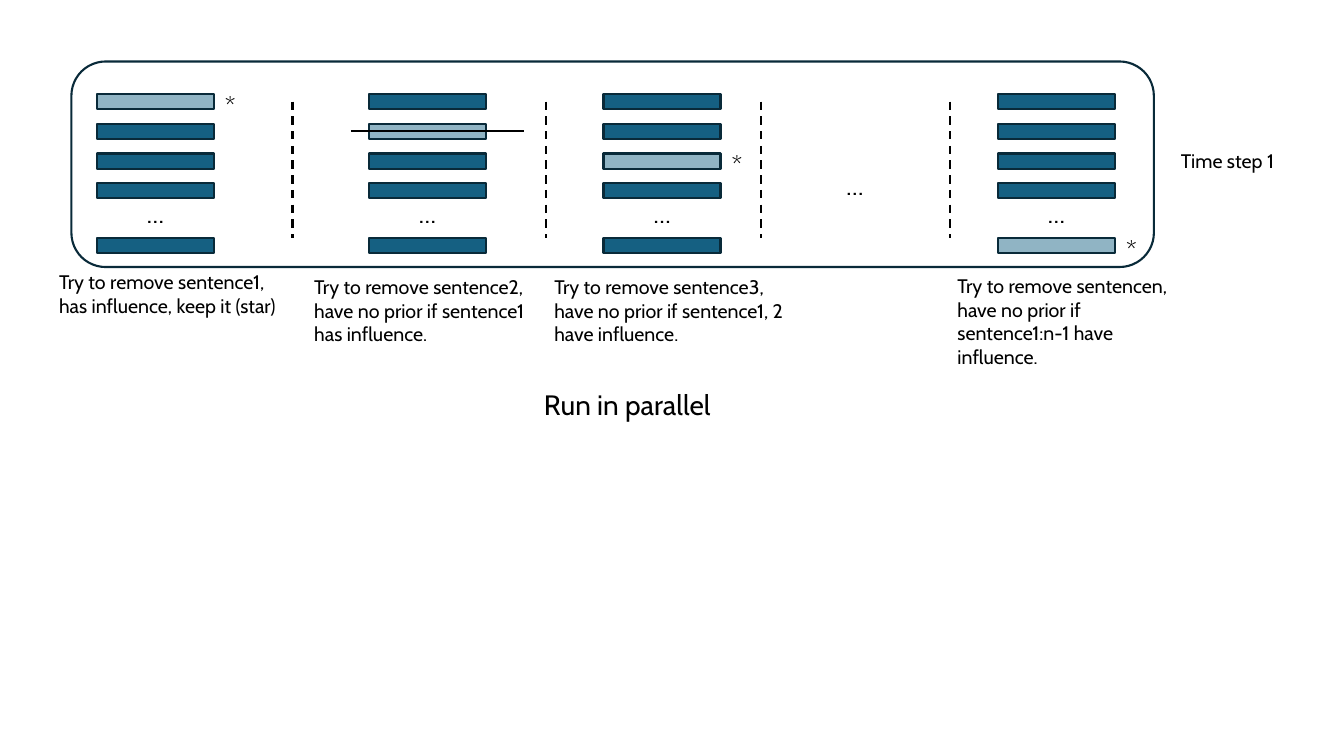
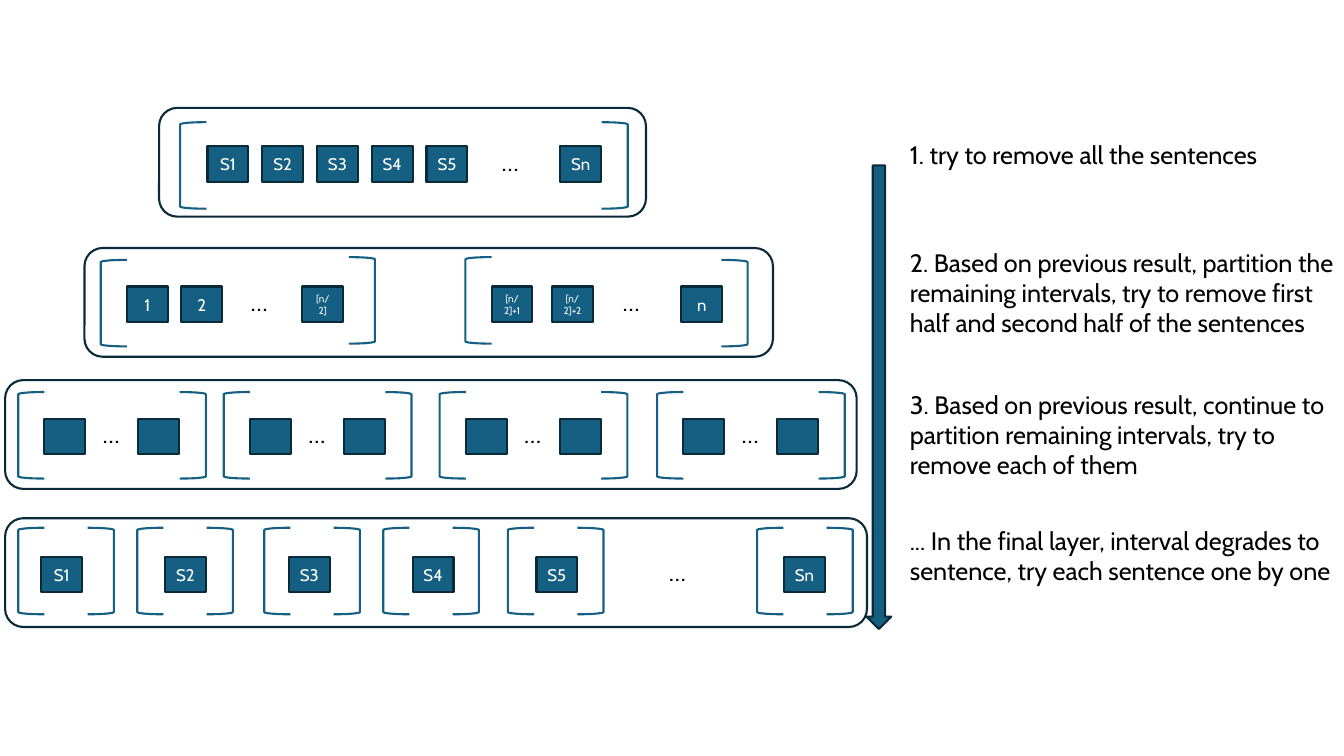
from lxml.etree import SubElement
from pptx import Presentation
from pptx.dml.color import RGBColor
from pptx.enum.dml import MSO_LINE_DASH_STYLE as Dash
from pptx.enum.shapes import MSO_CONNECTOR as Link, MSO_SHAPE as Shape
from pptx.enum.text import MSO_ANCHOR as Anchor, PP_ALIGN as Align
from pptx.oxml.ns import qn
from pptx.util import Cm, Pt

FONT = "Cabin"
TEAL, NAVY, BLACK, WHITE = "156082", "092A39", "000000", "FFFFFF"
STROKE = Pt(1.5)
SLIDE_W, SLIDE_H = 33.87, 19.05

# Sentence bars of a column
BAR_W, BAR_H, BAR_PITCH = 2.95, 0.38, 0.75
BAR_TOPS = [0.82 + BAR_PITCH * i for i in range(4)] + [4.44]

# Sentence tiles, brackets and layers
TILE_W, TILE_H, TILE_DROP = 1.03, 0.9, 0.97
BRACKET_W, BRACKET_H = 0.66, 2.18
LAYER_H = 2.74
ELLIPSIS_DROP = 0.84
NOTE_X = 22.68


def color(hex_string):
    return RGBColor.from_string(hex_string)


def write(frame, text, size=18, ink=BLACK, align=Align.LEFT, anchor=Anchor.TOP):
    frame.word_wrap = True
    frame.vertical_anchor = anchor
    paragraph = frame.paragraphs[0]
    paragraph.alignment = align
    run = paragraph.add_run()
    run.text = text
    run.font.name, run.font.size = FONT, Pt(size)
    run.font.color.rgb = color(ink)


def label(slide, x, y, w, h, text, right_inset=0.25, **style):
    frame = slide.shapes.add_textbox(Cm(x), Cm(y), Cm(w), Cm(h)).text_frame
    frame.margin_right = Cm(right_inset)
    write(frame, text, **style)


def outline(slide, kind, x, y, w, h, fill=None, line=NAVY, alpha=None):
    shape = slide.shapes.add_shape(kind, Cm(x), Cm(y), Cm(w), Cm(h))
    shape.shadow.inherit = False
    shape.line.color.rgb = color(line)
    shape.line.width = STROKE
    if fill is None:
        shape.fill.background()
    else:
        shape.fill.solid()
        shape.fill.fore_color.rgb = color(fill)
    if alpha is not None:
        tint = shape.fill._xPr.find(".//" + qn("a:srgbClr"))
        SubElement(tint, qn("a:alpha")).set("val", str(alpha * 1000))
    return shape


def rule(slide, x1, y1, x2, y2, dash=None):
    line = slide.shapes.add_connector(Link.STRAIGHT, Cm(x1), Cm(y1), Cm(x2), Cm(y2))
    line.line.color.rgb = color(BLACK)
    line.line.width = STROKE
    if dash:
        line.line.dash_style = dash
    SubElement(line._element.spPr, qn("a:effectLst"))


def ellipsis(slide, x, y):
    label(slide, x, y, 1.05, 1.02, "…")


def sentence_column(slide, x, y, tried, struck=False):
    """Stack of sentence bars; the tried one is pale, then starred or struck."""
    for index, drop in enumerate(BAR_TOPS):
        outline(slide, Shape.RECTANGLE, x, y + drop, BAR_W, BAR_H, TEAL,
                alpha=47 if index == tried else None)
    ellipsis(slide, x + 1.01, y + 3.33)
    bar_y = y + BAR_TOPS[tried]
    if struck:
        middle = bar_y + BAR_H / 2
        rule(slide, x - 0.46, middle, x + 3.91, middle)
    else:
        label(slide, x + 2.98, bar_y - 0.22, 0.97, 1.02, "*")


def parallel_slide(slide, x=1.8, y=1.55):
    # Time step frame
    outline(slide, Shape.ROUNDED_RECTANGLE, x, y, 27.28, 5.18)
    label(slide, x + 27.71, y + 2.08, 3, 0.86, "Time step 1", size=14)

    # Columns: offset, tried bar, struck, caption offset and drop, caption
    columns = [
        (0.64, 0, False, -0.56, 5.13,
         "Try to remove sentence1, has influence, keep it (star)"),
        (7.5, 1, True, 5.87, 5.26,
         "Try to remove sentence2, have no prior if sentence1 has influence."),
        (13.41, 2, False, 11.92, 5.26,
         "Try to remove sentence3, have no prior if sentence1, 2 have influence."),
        (23.35, 4, False, 22.08, 5.23,
         "Try to remove sentencen, have no prior if sentence1:n-1 have influence."),
    ]
    for dx, tried, struck, caption_dx, caption_dy, caption in columns:
        sentence_column(slide, x + dx, y, tried, struck)
        label(slide, x + caption_dx, y + caption_dy, 6.45, 2.06, caption, size=14)

    # Dividers and skipped columns
    for dx in (5.57, 11.97, 17.38, 22.13):
        rule(slide, x + dx, y + 1.01, x + dx, y + 4.44, Dash.DASH)
    ellipsis(slide, x + 19.28, y + 2.62)

    label(slide, x + 11.66, y + 8.08, 6.45, 1.12, "Run in parallel", size=20)


def interval(slide, x, y, w, drops, tiles, gap=None):
    """Pair of brackets around (offset, text) tiles, with an ellipsis at gap."""
    left_drop, right_drop = drops
    outline(slide, Shape.LEFT_BRACKET, x, y + left_drop, BRACKET_W, BRACKET_H,
            line=TEAL)
    outline(slide, Shape.RIGHT_BRACKET, x + w - BRACKET_W, y + right_drop,
            BRACKET_W, BRACKET_H, line=TEAL)
    for dx, text in tiles:
        tile = outline(slide, Shape.RECTANGLE, x + dx, y + TILE_DROP,
                       TILE_W, TILE_H, TEAL)
        if text:
            write(tile.text_frame, text, size=7 if "/" in text else 12, ink=WHITE,
                  align=Align.CENTER, anchor=Anchor.MIDDLE)
    if gap is not None:
        ellipsis(slide, x + gap, y + ELLIPSIS_DROP)


def layer(slide, x, y, w, intervals, note, note_drop):
    for dx, *parts in intervals:
        interval(slide, x + dx, y, *parts)
    outline(slide, Shape.ROUNDED_RECTANGLE, x, y, w, LAYER_H)
    label(slide, NOTE_X, y + note_drop, SLIDE_W - NOTE_X, 2.57, note, right_inset=0)


def partition_slide(slide):
    # Direction of the search
    outline(slide, Shape.DOWN_ARROW, 21.84, 4.17, 0.62, 11.68, TEAL)

    # All sentences
    first_five = [f"S{n}" for n in range(1, 6)]
    row = [(0.69 + 1.38 * i, name) for i, name in enumerate(first_five)]
    layer(slide, 4.01, 2.72, 12.27,
          [(0.53, 11.28, (0.36, 0.36), row + [(9.58, "Sn")], 7.85)],
          "1. try to remove all the sentences", 0.66)

    # Two halves
    halves = [
        (0.41, 6.91, (0.3, 0.23),
         [(0.66, "1"), (2.03, "2"), (5.08, "[n/2]")], 3.53),
        (9.6, 7.11, (0.23, 0.3),
         [(0.66, "[n/2]+1"), (2.18, "[n/2]+2"), (5.44, "n")], 3.71),
    ]
    layer(slide, 2.13, 6.25, 17.35, halves,
          "2. Based on previous result, partition the remaining intervals, "
          "try to remove first half and second half of the sentences", -0.15)

    # Four quarters
    quarters = [(dx, 4.73, (0.3, 0.3), [(0.66, ""), (3.03, "")], 1.88)
                for dx in (0.33, 5.51, 10.95, 16.43)]
    layer(slide, 0.13, 9.58, 21.46, quarters,
          "3. Based on previous result, continue to partition remaining "
          "intervals, try to remove each of them", 0.1)

    # Single sentences, on an even pitch with one place skipped
    x, y, pitch = 0.13, 13.06, 3.12
    places = list(enumerate(first_five)) + [(6, "Sn")]
    starts = (0.33, 3.33, 6.53, 9.53, 12.67, 18.95)
    singles = [(dx, 2.41, (0.24, 0.24), [(0.91 + pitch * place - dx, name)])
               for dx, (place, name) in zip(starts, places)]
    layer(slide, x, y, 21.72, singles,
          "... In the final layer, interval degrades to sentence, "
          "try each sentence one by one", 0.05)
    ellipsis(slide, x + 0.88 + pitch * 5, y + ELLIPSIS_DROP)


def main():
    deck = Presentation()
    deck.slide_width, deck.slide_height = Cm(SLIDE_W), Cm(SLIDE_H)
    blank = deck.slide_layouts[6]
    for build in (parallel_slide, partition_slide):
        build(deck.slides.add_slide(blank))
    deck.save("out.pptx")


if __name__ == "__main__":
    main()
